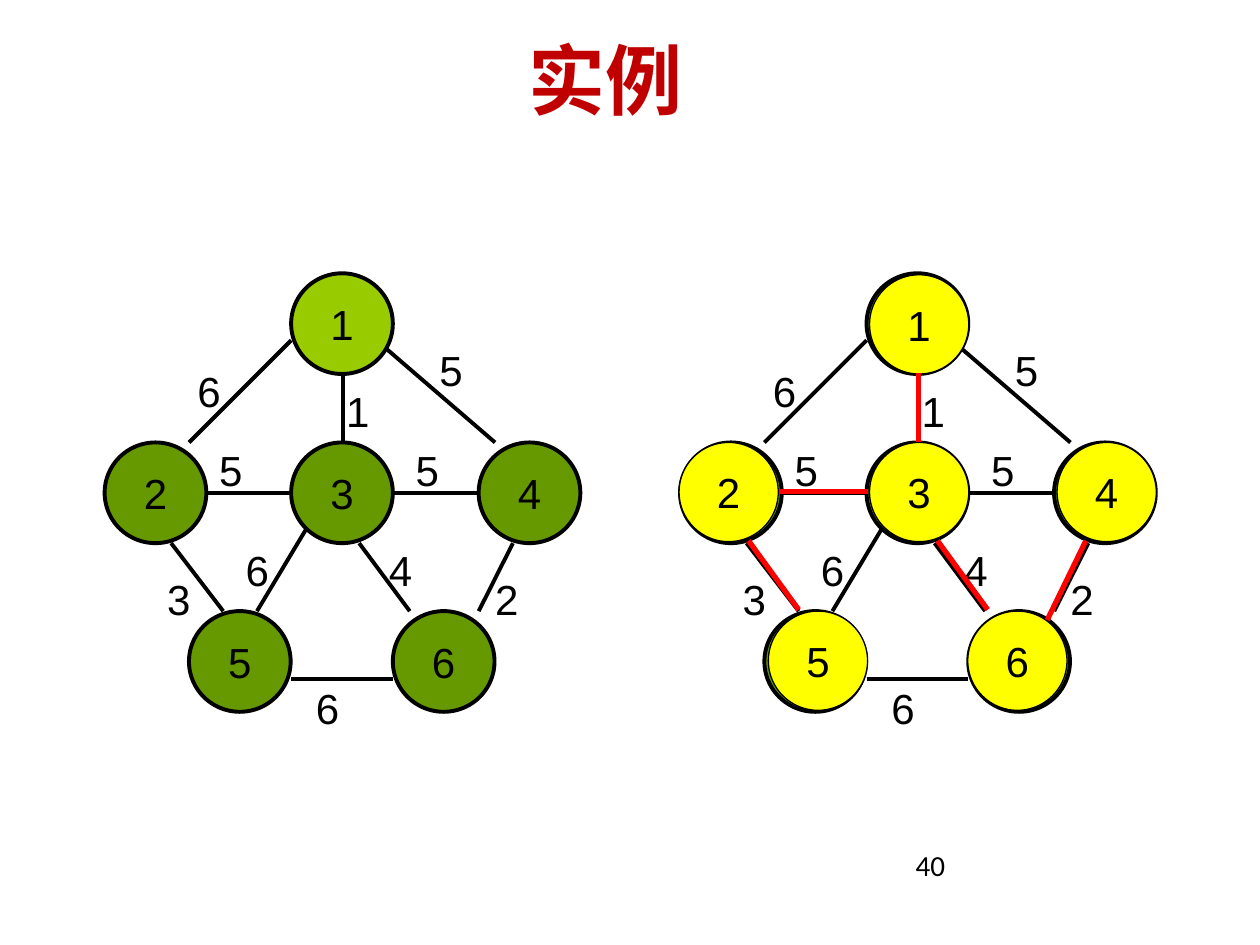
from pptx import Presentation
from pptx.dml.color import RGBColor
from pptx.enum.shapes import MSO_CONNECTOR as CONN, MSO_SHAPE as SHAPE
from pptx.enum.text import MSO_ANCHOR as ANCHOR, MSO_AUTO_SIZE as FIT, PP_ALIGN as ALIGN
from pptx.oxml.ns import qn
from pptx.util import Cm, Pt
from lxml.etree import SubElement

COLORS = {"title": "C00000", "ink": "000000", "start": "99CC00", "node": "669900",
          "visited": "FFFF00", "tree": "FF0000"}
TITLE = "实例"
PAGE = "40"
NODE_W, NODE_H, VISITED_SIZE = 2.05, 2.03, 2.0
LABEL_W, LABEL_H = 0.97, 1.27
GRAPH_SHIFT = 11.6

NODES = {"1": (5.87, 5.51), "2": (2.11, 8.92), "3": (5.87, 8.92),
         "4": (9.65, 8.92), "5": (3.81, 12.32), "6": (7.92, 12.32)}
EDGES = [  # weight, start, end, label corner
    ("6", (5.87, 6.86), (3.81, 8.92), (3.73, 7.24)),
    ("1", (6.91, 7.54), (6.91, 8.92), (6.73, 7.65)),
    ("5", (7.59, 6.86), (9.98, 8.92), (8.61, 6.83)),
    ("5", (4.17, 9.93), (6.2, 9.93), (4.17, 8.84)),
    ("6", (6.2, 10.62), (5.18, 12.32), (4.7, 10.85)),
    ("3", (3.45, 10.95), (4.5, 12.32), (3.12, 11.43)),
    ("6", (5.87, 13.69), (7.92, 13.69), (6.12, 13.64)),
    ("5", (7.92, 9.93), (9.65, 9.93), (8.13, 8.84)),
    ("4", (7.24, 10.95), (8.26, 12.32), (7.59, 10.85)),
    ("2", (10.34, 10.95), (9.65, 12.32), (9.73, 11.43)),
]
VISITED = {"1": (17.53, 5.54), "2": (13.69, 8.92), "3": (17.53, 8.92),
           "4": (21.31, 8.92), "5": (15.49, 12.32), "6": (19.51, 12.32)}
TREE = [
    ((18.52, 7.52), (18.52, 8.92)),
    ((21.89, 10.9), (21.11, 12.5)),
    ((15.09, 10.9), (16.1, 12.29)),
    ((18.9, 10.9), (19.91, 12.29)),
    ((15.7, 9.91), (17.5, 9.91)),
]


def rgb(name):
    """Return a palette colour."""
    return RGBColor.from_string(COLORS[name])


def write(tf, text, size=24, font="Arial", color="ink", bold=False):
    """Write one run in the first paragraph and return the paragraph."""
    p = tf.paragraphs[0]
    r = p.add_run()
    r.text = text
    r.font.size, r.font.name, r.font.bold = Pt(size), font, bold
    r.font.color.rgb = rgb(color)
    return p


def add_line(s, start, end, color="ink", width=2.25, dx=0):
    """Draw a straight edge."""
    (x1, y1), (x2, y2) = start, end
    line = s.shapes.add_connector(CONN.STRAIGHT, Cm(x1 + dx), Cm(y1), Cm(x2 + dx), Cm(y2))
    line.line.color.rgb = rgb(color)
    line.line.width = Pt(width)
    SubElement(line._element.spPr, qn("a:effectLst"))


def add_node(s, x, y, w, h, fill, width, text=None):
    """Draw a graph node, numbered if text is given."""
    sp = s.shapes.add_shape(SHAPE.OVAL, Cm(x), Cm(y), Cm(w), Cm(h))
    sp.shadow.inherit = False
    sp.fill.solid()
    sp.fill.fore_color.rgb = rgb(fill)
    sp.line.color.rgb = rgb("ink")
    sp.line.width = Pt(width)
    if text:
        tf = sp.text_frame
        tf.word_wrap, tf.vertical_anchor = False, ANCHOR.MIDDLE
        write(tf, text).alignment = ALIGN.CENTER


def add_graph(s, dx=0, start="node", numbered=True):
    """Draw the weighted graph shifted right by dx."""
    for _, a, b, _ in EDGES:
        add_line(s, a, b, dx=dx)
    for name, (x, y) in NODES.items():
        fill = start if name == "1" else "node"
        add_node(s, x + dx, y, NODE_W, NODE_H, fill, 2.25, name if numbered else None)
    for weight, _, _, (x, y) in EDGES:
        tf = s.shapes.add_textbox(Cm(x + dx), Cm(y), Cm(LABEL_W), Cm(LABEL_H)).text_frame
        tf.word_wrap, tf.auto_size = False, FIT.SHAPE_TO_FIT_TEXT
        write(tf, weight)


def main():
    """Build the spanning tree example slide."""
    prs = Presentation()
    prs.slide_width, prs.slide_height = Cm(25.4), Cm(19.05)
    s = prs.slides.add_slide(prs.slide_layouts[5])

    title = s.shapes.title
    title.left, title.top, title.width, title.height = Cm(3.5), Cm(0.71), Cm(17.42), Cm(1.75)
    title.text_frame.vertical_anchor = ANCHOR.MIDDLE
    write(title.text_frame, TITLE, 44, "Calibri", "title", True).alignment = ALIGN.CENTER

    add_graph(s, GRAPH_SHIFT, numbered=False)
    add_graph(s, start="start")
    for name, (x, y) in VISITED.items():
        add_node(s, x, y, VISITED_SIZE, VISITED_SIZE, "visited", 0.75, name)
    for a, b in TREE:
        add_line(s, a, b, "tree", 3)

    tf = s.shapes.add_textbox(Cm(18.21), Cm(17.04), Cm(5.92), Cm(1.02)).text_frame
    tf.word_wrap = True
    write(tf, PAGE, 16.6, "Calibri").line_spacing = 0.9
    prs.save("out.pptx")


if __name__ == "__main__":
    main()
